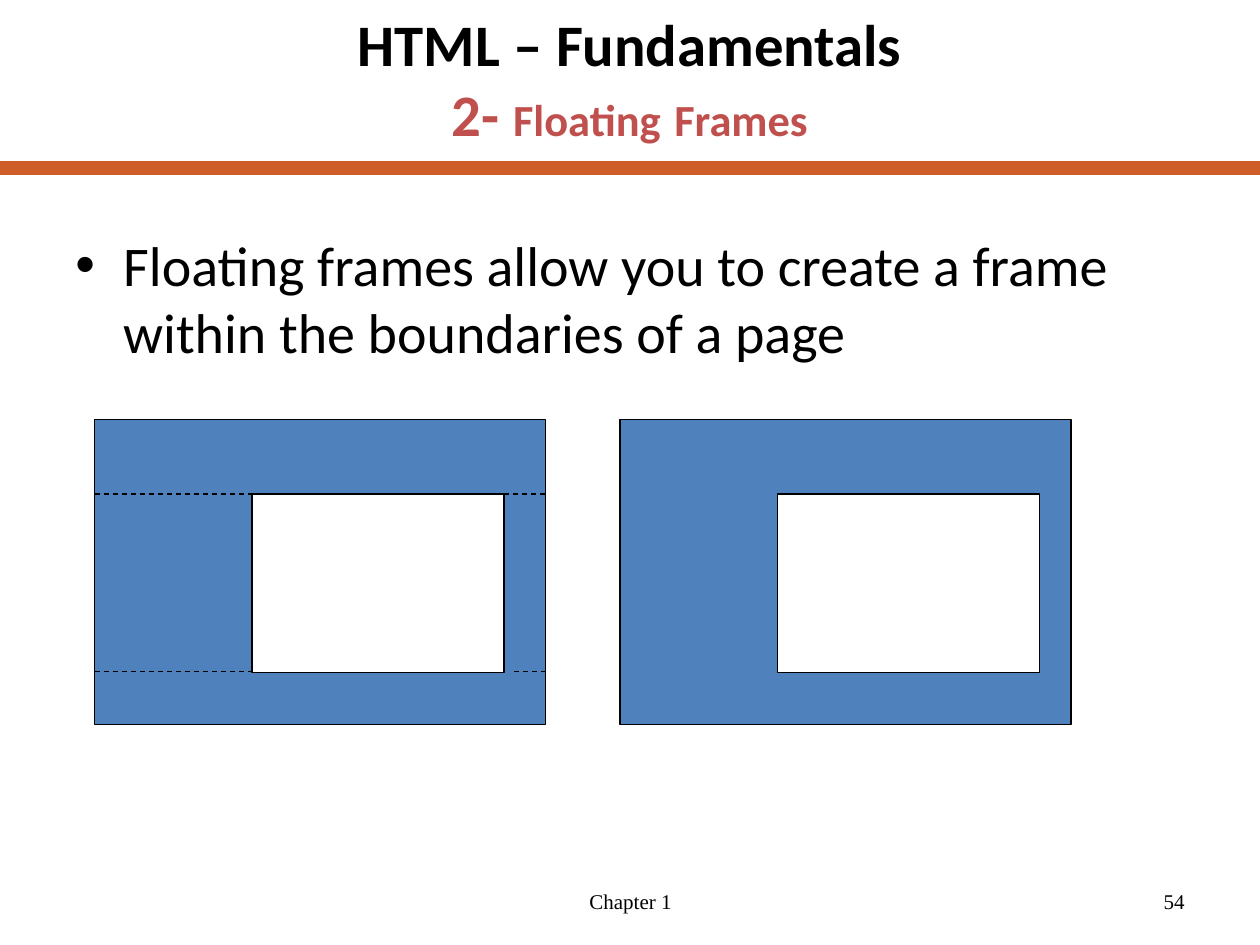
"""Build the slide on floating frames in HTML."""
import pptx
import pptx.dml.color
import pptx.enum.dml
import pptx.enum.shapes
import pptx.enum.text
import pptx.oxml
import pptx.oxml.ns
import pptx.util

Inches, Pt = pptx.util.Inches, pptx.util.Pt
ALIGN = pptx.enum.text.PP_ALIGN
ANCHOR = pptx.enum.text.MSO_ANCHOR

COLORS = {"black": "000000", "white": "FFFFFF", "page": "4F81BD", "rule": "CE5D28", "topic": "C0504D"}
HEADING, FOOTING = "Calibri", "Times New Roman"

TITLE = [
    [("HTML – Fundamentals", 33.6, "black")],
    [("2- ", 33.6, "topic"), ("Floating", 25.4, "topic"), (" ", 33.6, "topic"), ("Frames", 25.4, "topic")],
]
BODY = "Floating frames allow you to create a frame within the boundaries of a page"
FOOTERS = [("54", 7.17, 2.33, ALIGN.RIGHT), ("Chapter 1", 3.42, 3.17, ALIGN.CENTER)]

PAGE_TOP, PAGE_W, PAGE_H = 3.33, 3.58, 2.42
FRAME_TOP, FRAME_H, FRAME_INDENT = 3.92, 1.42, 1.25
FRAME_EDGES = (FRAME_TOP, 5.33)
PAGES = [
    {"left": 0.75, "frame_width": 2, "guides": True},
    {"left": 4.92, "frame_width": 2.08, "guides": False},
]
RIGHT_GUIDE_STARTS = (4, 4.08)


def rgb(name):
    return pptx.dml.color.RGBColor.from_string(COLORS[name])


def add_text(slide, box, anchor, align):
    tf = slide.shapes.add_textbox(*map(Inches, box)).text_frame
    tf.word_wrap = True
    tf.vertical_anchor = anchor
    p = tf.paragraphs[0]
    p.alignment = align
    return tf, p


def add_run(p, text, size, font, color, bold=False):
    r = p.add_run()
    r.text = text
    r.font.size, r.font.name, r.font.bold = Pt(size), font, bold
    r.font.color.rgb = rgb(color)


def add_rect(shapes, box, fill):
    sp = shapes.add_shape(pptx.enum.shapes.MSO_SHAPE.RECTANGLE, *map(Inches, box))
    sp.shadow.inherit = False
    sp.fill.solid()
    sp.fill.fore_color.rgb = rgb(fill)
    sp.line.color.rgb = rgb("black")
    sp.line.width = Pt(0.75)


def add_line(shapes, x1, x2, y, color="black", width=0.75, dashed=True):
    line = shapes.add_connector(pptx.enum.shapes.MSO_CONNECTOR.STRAIGHT, *map(Inches, (x1, y, x2, y)))
    line.line.color.rgb = rgb(color)
    line.line.width = Pt(width)
    if dashed:
        line.line.dash_style = pptx.enum.dml.MSO_LINE.DASH
    line._element.spPr.append(pptx.oxml.parse_xml(f"<a:effectLst {pptx.oxml.ns.nsdecls('a')}/>"))


def add_title(slide):
    tf, p = add_text(slide, (0.5, 0.08, 9, 1.08), ANCHOR.MIDDLE, ALIGN.CENTER)
    for i, line in enumerate(TITLE):
        if i:
            p.add_line_break()
        for text, size, color in line:
            add_run(p, text, size, HEADING, color, True)


def add_body(slide):
    tf, p = add_text(slide, (0.5, 1.5, 9.17, 5.2), ANCHOR.TOP, ALIGN.LEFT)
    tf.margin_top = Inches(0.33)
    pPr = p._p.get_or_add_pPr()
    pPr.set("marL", str(Inches(0.38)))
    pPr.set("indent", str(-Inches(0.38)))
    for xml in ('<a:buFont {} typeface="Arial"/>', '<a:buChar {} char="•"/>'):
        pPr.append(pptx.oxml.parse_xml(xml.format(pptx.oxml.ns.nsdecls("a"))))
    add_run(p, BODY, 32, HEADING, "black")


def add_page(slide, left, frame_width, guides):
    shapes = slide.shapes.add_group_shape().shapes
    frame_left = left + FRAME_INDENT
    add_rect(shapes, (left, PAGE_TOP, PAGE_W, PAGE_H), "page")
    add_rect(shapes, (frame_left, FRAME_TOP, frame_width, FRAME_H), "white")
    if guides:
        for y in FRAME_EDGES:
            add_line(shapes, left, frame_left, y)


def main():
    prs = pptx.Presentation()
    prs.slide_width, prs.slide_height = Inches(10), Inches(7.5)
    slide = prs.slides.add_slide(prs.slide_layouts[6])
    add_line(slide.shapes, 0, 10, 1.33, "rule", 8, False)
    add_title(slide)
    add_body(slide)
    for page in PAGES:
        add_page(slide, **page)
    for x, y in zip(RIGHT_GUIDE_STARTS, FRAME_EDGES):
        add_line(slide.shapes, x, PAGES[0]["left"] + PAGE_W, y)
    for text, left, width, align in FOOTERS:
        tf, p = add_text(slide, (left, 6.95, width, 0.4), ANCHOR.MIDDLE, align)
        add_run(p, text, 12, FOOTING, "black")
    prs.save("out.pptx")


if __name__ == "__main__":
    main()
